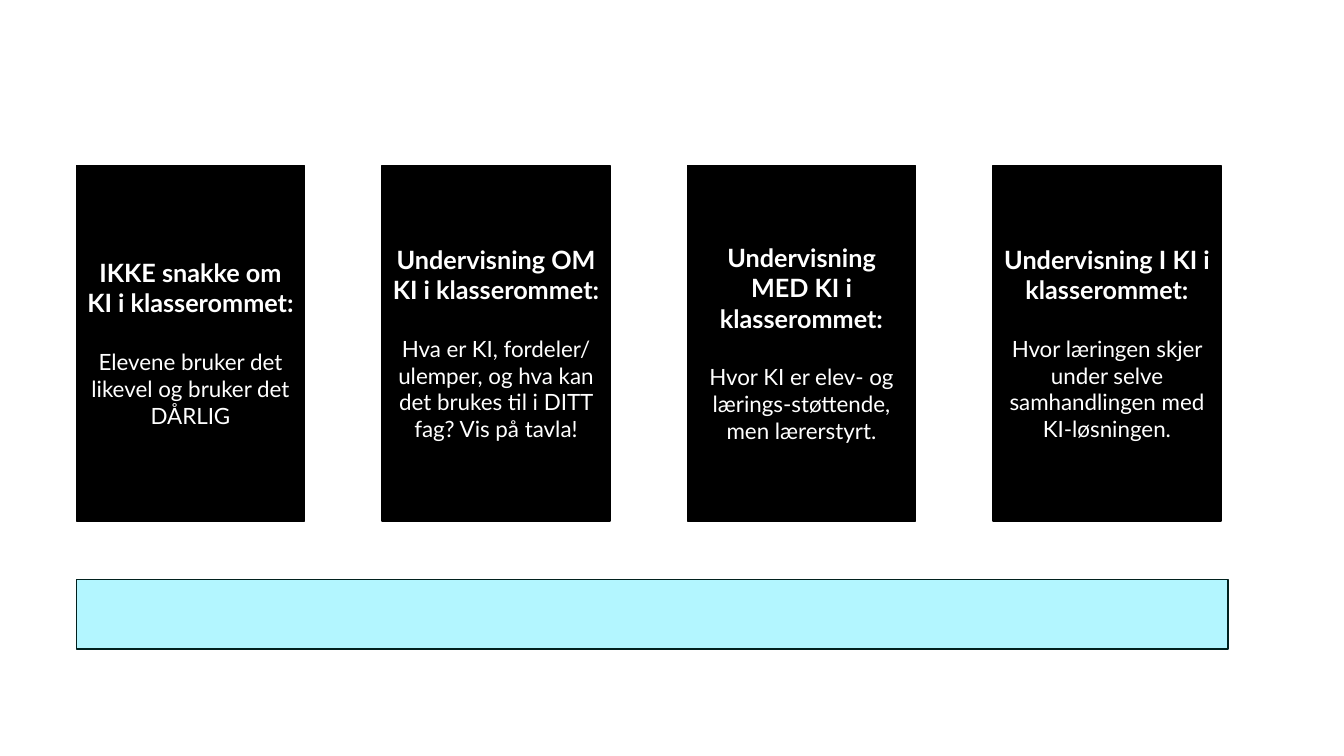
from pptx import Presentation
from pptx.dml.color import RGBColor
from pptx.enum.shapes import MSO_SHAPE
from pptx.enum.text import MSO_ANCHOR, PP_ALIGN
from pptx.util import Inches, Pt

RECTANGLE = MSO_SHAPE.RECTANGLE
MIDDLE = MSO_ANCHOR.MIDDLE
CENTER = PP_ALIGN.CENTER

FONT = "Lato"
HEADING_SIZE = 18
BODY_SIZE = 16
CARD_LEFT, CARD_TOP, CARD_WIDTH, CARD_HEIGHT = 0.76, 1.64, 2.26, 3.53
CARD_STEP = 3.03
CARDS = [
    ("IKKE snakke om KI i klasserommet:",
     "Elevene bruker det likevel og bruker det DÅRLIG"),
    ("Undervisning OM KI i klasserommet:",
     "Hva er KI, fordeler/ ulemper, og hva kan det brukes til i DITT fag? Vis på tavla!"),
    ("Undervisning MED KI i klasserommet:",
     "Hvor KI er elev- og lærings-støttende, men lærerstyrt."),
    ("Undervisning I KI i klasserommet:",
     "Hvor læringen skjer under selve samhandlingen med KI-løsningen."),
]


def color(hex_value):
    """Turn a hex string into a colour."""
    return RGBColor.from_string(hex_value)


def add_box(slide, left, top, width, height, fill, line):
    """Add a filled rectangle with a thin outline."""
    shape = slide.shapes.add_shape(
        RECTANGLE, Inches(left), Inches(top), Inches(width), Inches(height))
    shape.shadow.inherit = False
    shape.fill.solid()
    shape.fill.fore_color.rgb = color(fill)
    shape.line.color.rgb = color(line)
    shape.line.width = Pt(1)
    return shape


def format_paragraph(paragraph, size, bold):
    """Centre a paragraph and set its white type."""
    paragraph.alignment = CENTER
    for run in paragraph.runs:
        run.font.name = FONT
        run.font.size = Pt(size)
        run.font.bold = bold
        run.font.color.rgb = color("FFFFFF")


def add_card(slide, left, top, width, height, heading, body):
    """Add a black card with a bold heading above its explanation."""
    card = add_box(slide, left, top, width, height, "000000", "000000")
    text_frame = card.text_frame
    text_frame.word_wrap = True
    text_frame.vertical_anchor = MIDDLE
    text_frame.text = heading
    format_paragraph(text_frame.paragraphs[0], HEADING_SIZE, True)
    paragraph = text_frame.add_paragraph()
    paragraph.text = body
    paragraph.space_before = Pt(HEADING_SIZE * 1.2)
    format_paragraph(paragraph, BODY_SIZE, False)


def main():
    """Build the slide and save it."""
    presentation = Presentation()
    presentation.slide_width = Inches(13.33)
    presentation.slide_height = Inches(7.5)
    slide = presentation.slides.add_slide(presentation.slide_layouts[6])
    for index, (heading, body) in enumerate(CARDS):
        add_card(slide, CARD_LEFT + index * CARD_STEP, CARD_TOP,
                 CARD_WIDTH, CARD_HEIGHT, heading, body)
    add_box(slide, CARD_LEFT, 5.75, 11.42, 0.69, "B3F6FF", "01211E")
    presentation.save("out.pptx")


if __name__ == "__main__":
    main()
